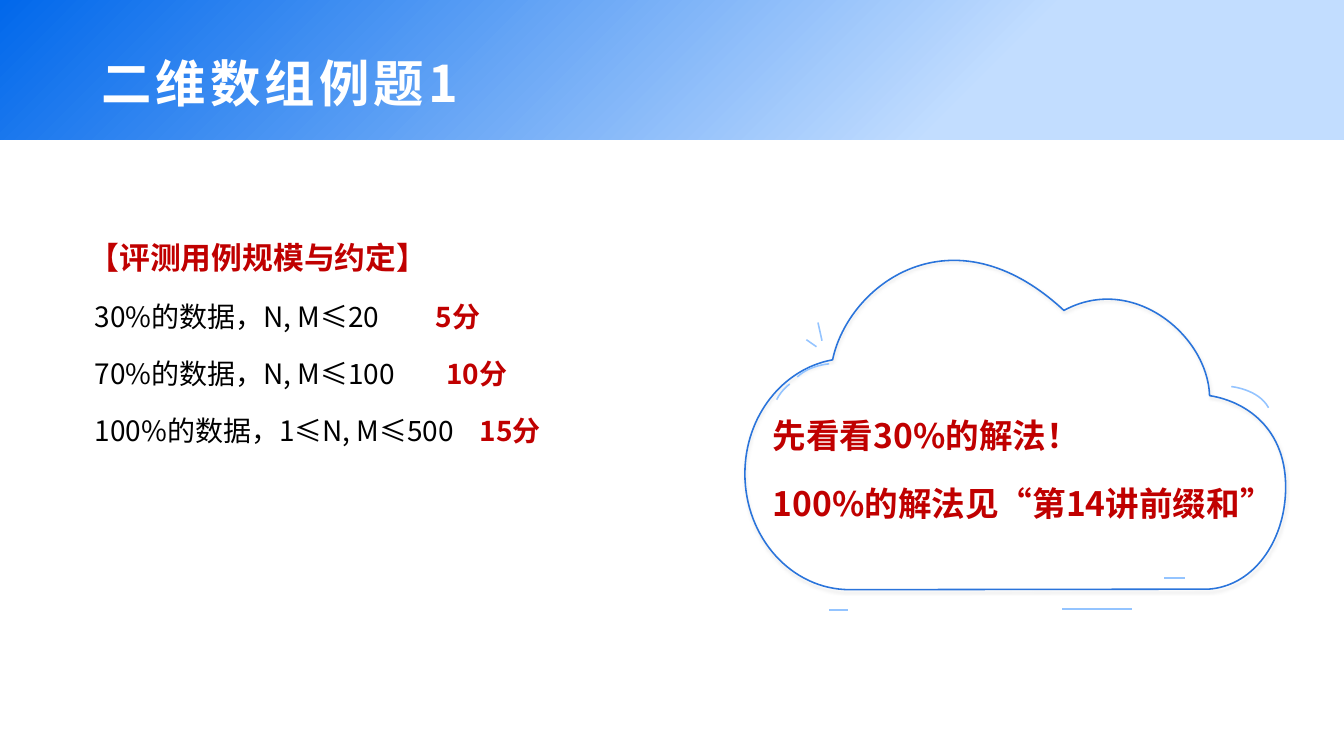
from dataclasses import dataclass
from typing import Optional

from lxml import etree
from pptx import Presentation
from pptx import util as u
from pptx.dml.color import RGBColor
from pptx.enum import shapes, text
from pptx.oxml import parse_xml
from pptx.oxml.ns import nsdecls, qn

COLS, ROWS = 80, 45
WIDE, HIGH = u.Inches(26.67), u.Inches(15)
FACE = "Noto Sans CJK SC"

WHITE = RGBColor(0xFF, 0xFF, 0xFF)
BLACK = RGBColor(0x00, 0x00, 0x00)
RED = RGBColor(0xC0, 0x00, 0x00)
BLUE = RGBColor(0x01, 0x68, 0xEB)
PALE = RGBColor(0xC2, 0xDD, 0xFF)
EDGE = RGBColor(0x2A, 0x74, 0xDB)
SKY = RGBColor(0x94, 0xC4, 0xFF)


@dataclass
class Box:
    """Place on the grid, in columns and rows."""
    col: float
    row: float
    wide: float
    high: float


@dataclass
class Run:
    words: str
    size: float
    color: RGBColor
    bold: bool = True
    space: float = 0


@dataclass
class Line:
    runs: list[Run]
    tab: Optional[float] = None
    lead: float = 1.7


@dataclass
class Path:
    """Start point, then Bezier steps (6 numbers) or straight steps (2)."""
    start: tuple
    steps: list[tuple]


def score(words: str, mark: str, tab: float) -> Line:
    return Line([Run(" " + words, 40, BLACK, False), Run("\t" + mark, 40, RED)], tab)


HEAD = Box(0, 0, COLS, 8.28)
TITLE = Box(5.73, 2.7, 27.4, 4.35)
RULES = Box(4.98, 12.54, 35.1, 14.37)
HINT = Box(45.69, 22.86, 34.2, 8.55)

TITLE_LINES = [Line([Run("二维数组例题1", 72, WHITE, space=6)], lead=1)]
RULE_LINES = [
    Line([Run("【评测用例规模与约定】", 44, RED)]),
    score("30%的数据，N, M≤20", "5分", 20.67),
    score("70%的数据，N, M≤100", "10分", 21.3),
    score("100%的数据，1≤N, M≤500", "15分", 23.28),
]
HINT_LINES = [Line([Run(words, 48, RED)])
              for words in ("先看看30%的解法！", "100%的解法见“第14讲前缀和”")]

CLOUD = Path((76.5, 29.67), [
    (76.83, 25.68, 74.28, 23.91, 72, 23.55),
    (71.88, 19.95, 67.41, 16.26, 63.33, 18.48),
    (56.67, 12.3, 50.49, 16.95, 49.56, 21.42),
    (46.59, 21.96, 44.34, 24.78, 44.34, 28.2),
    (44.34, 32.01, 47.13, 35.1, 50.58, 35.1),
    (71.94, 35.07),
    (74.49, 34.89, 76.26, 32.49, 76.5, 29.67),
])
ARCS = [
    Path((73.29, 23.01), [(73.29, 23.01, 74.91, 23.16, 75.51, 24.27)]),
    Path((49.35, 21.66), [(49.35, 21.66, 48.21, 21.72, 47.46, 22.44)]),
    Path((47.01, 22.86), [(47.01, 22.86, 46.53, 23.19, 46.23, 23.79)]),
]
TICKS = [
    (48.6, 20.64, 48, 20.22),
    (48.93, 20.28, 48.69, 19.2),
    (69.3, 34.41, 70.53, 34.41),
    (63.24, 36.24, 67.38, 36.24),
    (50.46, 36.3, 49.35, 36.3),
]


def across(col: float) -> int:
    return round(WIDE * col / COLS)


def down(row: float) -> int:
    return round(HIGH * row / ROWS)


def spot(point: tuple) -> tuple:
    return across(point[0]), down(point[1])


def place(shape, box: Box) -> None:
    shape.left, shape.top = spot((box.col, box.row))
    shape.width, shape.height = spot((box.wide, box.high))


def add_run(para, item: Run) -> None:
    run = para.add_run()
    run.text = item.words
    font = run.font
    font.name, font.size, font.bold = FACE, u.Pt(item.size), item.bold
    font.color.rgb = item.color
    props = run._r.get_or_add_rPr()
    etree.SubElement(props, qn("a:ea")).set("typeface", FACE)
    if item.space:
        props.set("spc", str(round(item.space * 100)))


def write(shape, box: Box, lines: list[Line], anchor=text.MSO_ANCHOR.TOP) -> None:
    place(shape, box)
    frame = shape.text_frame
    frame.word_wrap = True
    frame.auto_size = text.MSO_AUTO_SIZE.NONE
    frame.vertical_anchor = anchor
    for i, line in enumerate(lines):
        para = frame.paragraphs[0] if i == 0 else frame.add_paragraph()
        props = para._p.get_or_add_pPr()
        if shape.is_placeholder:
            props.set("marL", "0")
            props.set("indent", "0")
            etree.SubElement(props, qn("a:buNone"))
        if line.tab is not None:
            stop = etree.SubElement(etree.SubElement(props, qn("a:tabLst")), qn("a:tab"))
            stop.set("pos", str(across(line.tab)))
            stop.set("algn", "l")
        para.alignment = text.PP_ALIGN.LEFT
        para.line_spacing = line.lead
        para.space_before = para.space_after = u.Pt(0)
        for item in line.runs:
            add_run(para, item)


def ink(shape, color: RGBColor) -> None:
    shape.line.color.rgb = color
    shape.line.width = u.Pt(2.25)


def draw(group, path: Path, color: RGBColor, close: bool = False):
    """Lay the control points as straight steps, then join threes into curves."""
    pen = group.shapes.build_freeform(*spot(path.start), scale=1.0)
    for step in path.steps:
        pairs = zip(step[::2], step[1::2])
        pen.add_line_segments([spot(p) for p in pairs], close=False)
    if close:
        pen.add_line_segments([], close=True)
    shape = pen.convert_to_shape()
    legs = iter(list(shape._element.iter(qn("a:lnTo"))))
    for step in path.steps:
        first, *more = [next(legs) for _ in step[::2]]
        if more:
            first.tag = qn("a:cubicBezTo")
            for leg in more:
                first.append(leg[0])
                leg.getparent().remove(leg)
    shape.shadow.inherit = False
    shape.fill.background()
    ink(shape, color)
    return shape


def add_tick(group, ends: tuple) -> None:
    tick = group.shapes.add_connector(
        shapes.MSO_CONNECTOR.STRAIGHT, *spot(ends[:2]), *spot(ends[2:]))
    ink(tick, SKY)
    etree.SubElement(tick._element.spPr, qn("a:effectLst"))


def add_cloud(slide) -> None:
    group = slide.shapes.add_group_shape()
    cloud = draw(group, CLOUD, EDGE, close=True)
    cloud._element.spPr.find(qn("a:effectLst")).append(parse_xml(
        f'<a:outerShdw {nsdecls("a")} blurRad="{u.Pt(4)}" dist="{u.Pt(3)}" dir="5400000">'
        '<a:srgbClr val="BFBFBF"><a:alpha val="40000"/></a:srgbClr></a:outerShdw>'))
    for ends in TICKS:
        add_tick(group, ends)
    for arc in ARCS:
        draw(group, arc, SKY)


def add_head(slide) -> None:
    """Gradient band behind everything else."""
    band = slide.shapes.add_shape(shapes.MSO_SHAPE.RECTANGLE, 0, 0, 1, 1)
    place(band, HEAD)
    band.shadow.inherit = False
    band.line.fill.background()
    band.fill.gradient()
    band.fill.gradient_angle = 315
    for stop, color, share in zip(band.fill.gradient_stops, (BLUE, PALE), (0, 0.72)):
        stop.color.rgb, stop.position = color, share
    slide.shapes._spTree.insert(2, band._element)


def main() -> None:
    deck = Presentation()
    deck.slide_width, deck.slide_height = WIDE, HIGH
    slide = deck.slides.add_slide(deck.slide_layouts[1])
    title, hint = slide.placeholders
    add_head(slide)
    write(title, TITLE, TITLE_LINES, text.MSO_ANCHOR.MIDDLE)
    title.text_frame.margin_top = title.text_frame.margin_bottom = 0
    write(slide.shapes.add_textbox(0, 0, 1, 1), RULES, RULE_LINES)
    write(hint, HINT, HINT_LINES)
    add_cloud(slide)
    deck.save("out.pptx")


if __name__ == "__main__":
    main()
